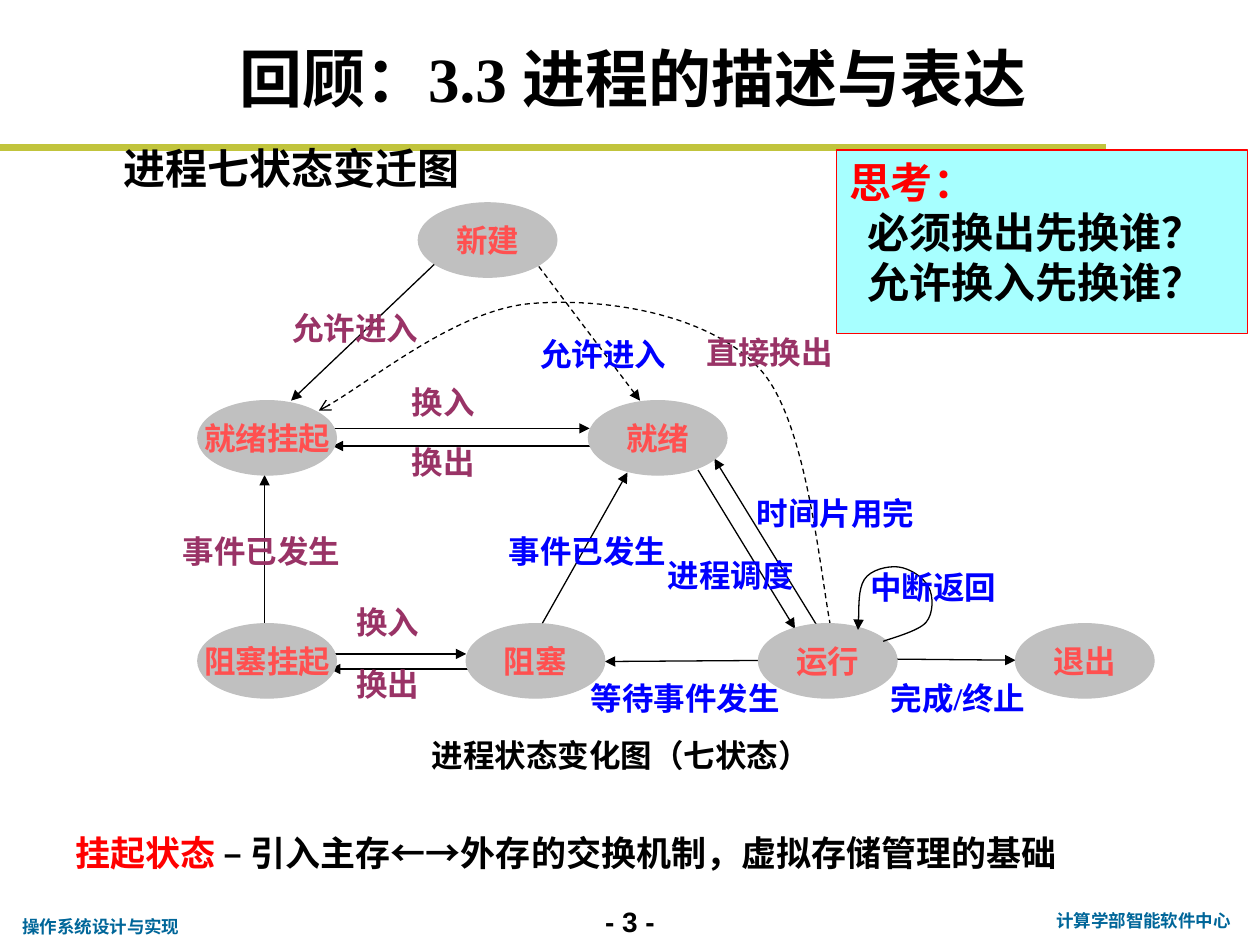
import pptx
import pptx.util
import pptx.dml.color
import pptx.enum.dml
import pptx.enum.shapes
import pptx.enum.text
import pptx.oxml.ns
from dataclasses import dataclass
from lxml import etree

Inches = pptx.util.Inches
Align = pptx.enum.text.PP_ALIGN
Anchor = pptx.enum.text.MSO_ANCHOR
Shapes = pptx.enum.shapes.MSO_SHAPE
qn = pptx.oxml.ns.qn


@dataclass(frozen=True)
class Theme:
    black: str = "000000"
    red: str = "FF0000"
    blue: str = "0000FF"
    plum: str = "993366"
    coral: str = "FF5050"
    grey: str = "C0C0C0"
    cyan: str = "A7FFFF"
    olive: str = "C1C43C"
    teal: str = "006699"
    serif: str = "Times New Roman"
    sans: str = "Arial"
    cjk: str = "Noto Sans CJK SC"
    title: int = 36
    heading: int = 24
    note: int = 20
    label: int = 18
    page_number: int = 16
    footer: int = 10
    hairline: float = 0.75
    rule: float = 4


THEME = Theme()
STATE_SIZE = (1.1, 0.59)

# State name: left, top
STATES = {
    "新建": (3.32, 1.61),
    "就绪挂起": (1.57, 3.18),
    "就绪": (4.67, 3.18),
    "阻塞挂起": (1.57, 4.95),
    "阻塞": (3.7, 4.95),
    "运行": (6.02, 4.95),
    "退出": (8.06, 4.95),
}

# Start, end, dashed
TRANSITIONS = [
    ((3.76, 1.8), (2.31, 3.18), False),
    ((4.19, 2), (5.08, 3.18), True),
    ((2.59, 3.4), (4.68, 3.4), False),
    ((5.05, 3.54), (2.64, 3.54), False),
    ((2.1, 4.95), (2.1, 3.77), False),
    ((2.39, 5.19), (3.7, 5.19), False),
    ((3.94, 5.31), (2.62, 5.31), False),
    ((4.19, 5.15), (4.98, 3.75), False),
    ((5.54, 3.73), (6.31, 4.99), False),
    ((6.53, 5.04), (5.67, 3.64), False),
    ((6.33, 5.24), (4.8, 5.25), False),
    ((6.97, 5.23), (8.06, 5.24), False),
]

# Text, left, top, width
SWAP_LABELS = [
    ("允许进入", 2.22, 2.4, 1.31),
    ("直接换出", 5.51, 2.59, 1.31),
    ("换入", 3.17, 2.99, 0.8),
    ("换出", 3.17, 3.47, 0.8),
    ("事件已发生", 1.35, 4.17, 1.75),
    ("换入", 2.73, 4.74, 0.8),
    ("换出", 2.73, 5.23, 0.8),
]
BASIC_LABELS = [
    ("允许进入", 4.19, 2.61, 1.75),
    ("时间片用完", 5.91, 3.87, 1.56),
    ("事件已发生", 3.94, 4.17, 1.75),
    ("进程调度", 5.2, 4.36, 1.31),
    ("中断返回", 6.81, 4.46, 1.31),
    ("等待事件发生", 4.59, 5.34, 1.75),
    ("完成/终止", 6.97, 5.34, 1.46),
]

# Start point followed by Bezier control points
DIRECT_SWAP = [(6.62, 5.1), (6.52, 4.74), (6.44, 3.39), (6.04, 2.94),
               (5.64, 2.49), (4.8, 2.36), (4.21, 2.41),
               (3.63, 2.46), (2.88, 3.08), (2.53, 3.26)]
INTERRUPT_LOOP = [(7.01, 5.09), (7.06, 5.07), (7.29, 5.01), (7.35, 4.94),
                  (7.41, 4.87), (7.41, 4.73), (7.37, 4.66),
                  (7.33, 4.58), (7.22, 4.51), (7.13, 4.5),
                  (7.05, 4.49), (6.91, 4.52), (6.86, 4.6),
                  (6.81, 4.68), (6.82, 4.91), (6.81, 5)]


def rgb(value):
    return pptx.dml.color.RGBColor.from_string(value)


def style_span(span, size, color, font):
    span.font.size = pptx.util.Pt(size)
    span.font.bold = True
    span.font.color.rgb = rgb(color)
    span.font.name = font
    east_asian = etree.SubElement(span.font._element, qn("a:ea"))
    east_asian.set("typeface", THEME.cjk)


def style_line(line, color, width, dashed=False, head=None):
    line.color.rgb = rgb(color)
    line.width = pptx.util.Pt(width)
    if dashed:
        line.dash_style = pptx.enum.dml.MSO_LINE.DASH
    if head:
        etree.SubElement(line._get_or_add_ln(), qn("a:tailEnd")).set("type", head)


def add_text(page, area, text, size, color, font, align=Align.LEFT, anchor=Anchor.TOP):
    box = page.shapes.add_textbox(*map(Inches, area))
    frame = box.text_frame
    frame.word_wrap = True
    frame.vertical_anchor = anchor
    frame.text = text
    para = frame.paragraphs[0]
    para.alignment = align
    style_span(para.runs[0], size, color, font)
    return para


def add_shape(page, kind, area, fill, outline):
    shape = page.shapes.add_shape(kind, *map(Inches, area))
    shape.shadow.inherit = False
    shape.fill.solid()
    shape.fill.fore_color.rgb = rgb(fill)
    style_line(shape.line, outline, THEME.hairline)
    return shape


def add_state(page, name, left, top):
    frame = add_shape(page, Shapes.OVAL, (left, top, *STATE_SIZE), THEME.grey, THEME.grey).text_frame
    frame.word_wrap = False
    frame.margin_left = frame.margin_right = frame.margin_top = frame.margin_bottom = 0
    frame.vertical_anchor = Anchor.MIDDLE
    frame.text = name
    frame.paragraphs[0].alignment = Align.CENTER
    style_span(frame.paragraphs[0].runs[0], THEME.label, THEME.coral, THEME.serif)


def add_line(page, start, end, color, width, dashed=False, head=None):
    straight = pptx.enum.shapes.MSO_CONNECTOR.STRAIGHT
    line = page.shapes.add_connector(straight, *map(Inches, start + end))
    style_line(line.line, color, width, dashed, head)
    etree.SubElement(line._element.spPr, qn("a:effectLst"))


def add_curve(page, points, head, dashed=False):
    points = [tuple(map(Inches, point)) for point in points]
    builder = page.shapes.build_freeform(*points[0])
    builder.add_line_segments(points[1:], close=False)
    curve = builder.convert_to_shape()
    curve.shadow.inherit = False
    curve.fill.background()
    style_line(curve.line, THEME.black, THEME.hairline, dashed, head)
    # Each three straight segments become one cubic segment
    outline = next(curve._element.iter(qn("a:path")))
    segments = outline.findall(qn("a:lnTo"))
    for first in range(0, len(segments), 3):
        cubic = etree.SubElement(outline, qn("a:cubicBezTo"))
        for segment in segments[first:first + 3]:
            cubic.append(segment[0])
            outline.remove(segment)


def add_question_box(page):
    box = add_shape(page, Shapes.RECTANGLE, (6.64, 1.19, 3.26, 1.46), THEME.cyan, THEME.red)
    frame = box.text_frame
    frame.vertical_anchor = Anchor.TOP
    frame.text = "思考：\n必须换出先换谁？\n允许换入先换谁？"
    for index, para in enumerate(frame.paragraphs):
        para.alignment = Align.LEFT
        if index:
            para._p.get_or_add_pPr().set("marL", str(Inches(0.15)))
        style_span(para.runs[0], THEME.heading, THEME.black if index else THEME.red, THEME.cjk)


def main():
    deck = pptx.Presentation()
    deck.slide_width, deck.slide_height = Inches(10), Inches(7.5)
    page = deck.slides.add_slide(deck.slide_layouts[6])

    # Footer and title rule
    add_text(page, (4.5, 7.13, 1, 0.37), "- 3 -", THEME.page_number, THEME.black, THEME.sans, Align.CENTER)
    add_text(page, (8.25, 7.17, 1.65, 0.27), "计算学部智能软件中心", THEME.footer, THEME.teal, THEME.sans, Align.CENTER)
    add_text(page, (0.08, 7.22, 1.46, 0.27), "操作系统设计与实现", THEME.footer, THEME.teal, THEME.sans)
    add_line(page, (0, 1.17), (8.78, 1.17), THEME.olive, THEME.rule)

    # Headings
    add_text(page, (1.8, 0.3, 6.98, 0.63), "回顾：3.3 进程的描述与表达", THEME.title, THEME.black, THEME.serif,
             anchor=Anchor.MIDDLE)
    add_text(page, (0.88, 1.08, 7.8, 0.66), "进程七状态变迁图", THEME.heading, THEME.black, THEME.sans)

    # State diagram
    add_curve(page, DIRECT_SWAP, "arrow", dashed=True)
    for start, end, dashed in TRANSITIONS:
        add_line(page, start, end, THEME.black, THEME.hairline, dashed, "triangle")
    for name, (left, top) in STATES.items():
        add_state(page, name, left, top)
    add_curve(page, INTERRUPT_LOOP, "triangle")
    for labels, color in ((SWAP_LABELS, THEME.plum), (BASIC_LABELS, THEME.blue)):
        for text, left, top, width in labels:
            add_text(page, (left, top, width, 0.59), text, THEME.label, color, THEME.serif, Align.JUSTIFY)
    add_text(page, (3.33, 5.79, 3.4, 0.59), "进程状态变化图（七状态）", THEME.label, THEME.black, THEME.serif,
             Align.JUSTIFY)

    # Closing note and question
    note = add_text(page, (0.5, 6.45, 9.31, 0.73), "挂起状态 ", THEME.note, THEME.red, THEME.cjk)
    note.line_spacing = 1.3
    span = note.add_run()
    span.text = "– 引入主存←→外存的交换机制，虚拟存储管理的基础"
    style_span(span, THEME.note, THEME.black, THEME.cjk)
    add_question_box(page)

    deck.save("out.pptx")


if __name__ == "__main__":
    main()
